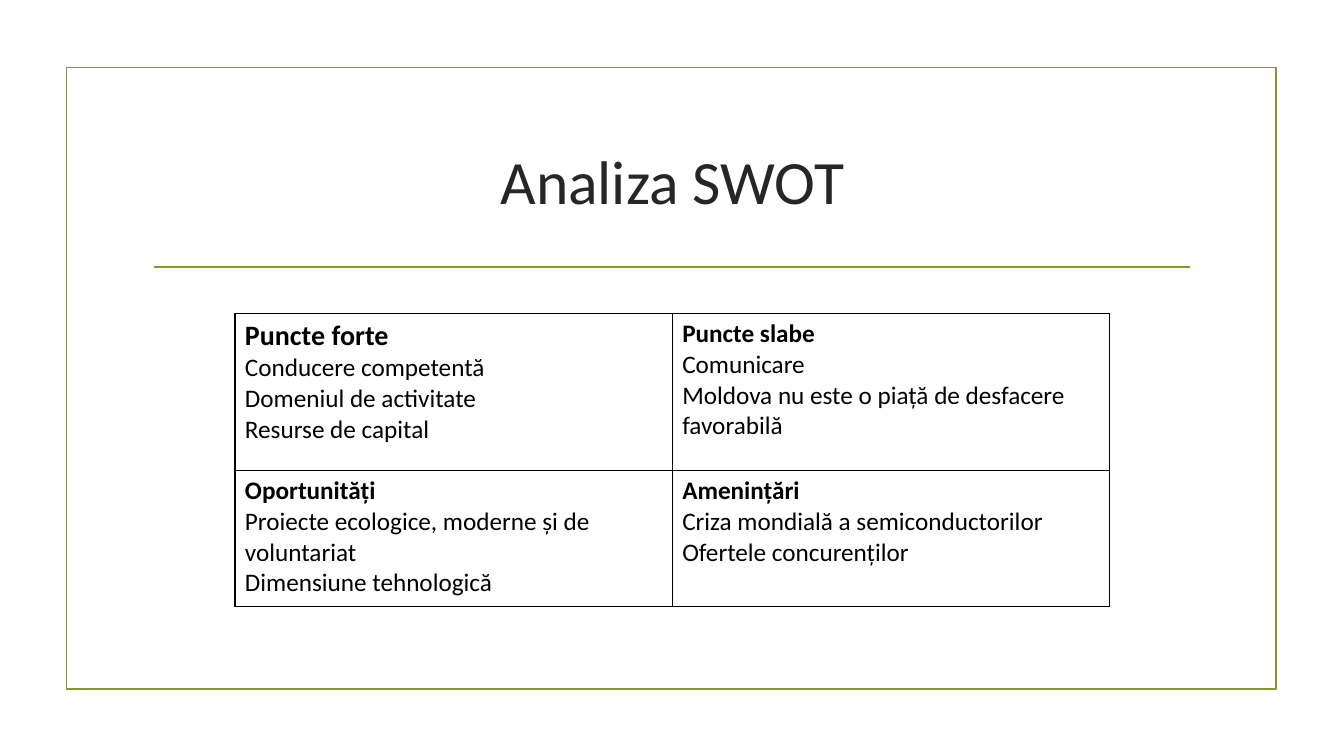
from dataclasses import dataclass

from lxml import etree
from pptx import Presentation
from pptx.dml.color import RGBColor
from pptx.enum.shapes import MSO_CONNECTOR, MSO_SHAPE
from pptx.enum.text import MSO_ANCHOR, PP_ALIGN
from pptx.oxml import parse_xml
from pptx.oxml.ns import qn
from pptx.util import Cm, Pt

RECTANGLE = MSO_SHAPE.RECTANGLE
STRAIGHT = MSO_CONNECTOR.STRAIGHT
MIDDLE = MSO_ANCHOR.MIDDLE
CENTER = PP_ALIGN.CENTER

FONT = "Calibri"
GREEN = "83992A"
DARK = "262626"
BLACK = "000000"
TITLE_ONLY = 5
DRAWING_NS = "http://schemas.openxmlformats.org/drawingml/2006/main"


@dataclass
class Quadrant:
    row: int
    column: int
    heading: str
    points: list[str]
    heading_size: int = 18


QUADRANTS = [
    Quadrant(0, 0, "Puncte forte",
             ["Conducere competentă", "Domeniul de activitate", "Resurse de capital"], 20),
    Quadrant(0, 1, "Puncte slabe",
             ["Comunicare", "Moldova nu este o piață de desfacere favorabilă"]),
    Quadrant(1, 0, "Oportunități",
             ["Proiecte ecologice, moderne și de voluntariat", "Dimensiune tehnologică"]),
    Quadrant(1, 1, "Amenințări",
             ["Criza mondială a semiconductorilor", "Ofertele concurenților"]),
]


def colour(code: str) -> RGBColor:
    return RGBColor.from_string(code)


def format_runs(para, size: float, code: str, bold: bool = False) -> None:
    for span in para.runs:
        span.font.name = FONT
        span.font.size = Pt(size)
        span.font.bold = bold
        span.font.color.rgb = colour(code)


def style_line(line) -> None:
    line.color.rgb = colour(GREEN)
    line.width = Pt(1.25)


def add_frame(page) -> None:
    frame = page.shapes.add_shape(RECTANGLE, Cm(1.68), Cm(1.7), Cm(30.48), Cm(15.67))
    frame.shadow.inherit = False
    frame.fill.background()
    style_line(frame.line)


def add_title_rule(page) -> None:
    rule = page.shapes.add_connector(STRAIGHT, Cm(3.89), Cm(6.73), Cm(30), Cm(6.73))
    style_line(rule.line)
    etree.SubElement(rule._element.spPr, qn("a:effectLst"))


def set_title(page) -> None:
    title = page.shapes.title
    title.left, title.top, title.width, title.height = Cm(3.61), Cm(2.72), Cm(26.67), Cm(3.63)
    title.text_frame.text = "Analiza SWOT"
    title.text_frame.vertical_anchor = MIDDLE
    para = title.text_frame.paragraphs[0]
    para.alignment = CENTER
    format_runs(para, 44, DARK)


def add_borders(cell) -> None:
    properties = cell._tc.get_or_add_tcPr()
    for side in ("lnL", "lnR", "lnT", "lnB"):
        properties.append(parse_xml(
            f'<a:{side} xmlns:a="{DRAWING_NS}" w="{Pt(1)}"><a:solidFill>'
            f'<a:srgbClr val="{BLACK}"/></a:solidFill></a:{side}>'))


def fill_quadrant(cell, quadrant: Quadrant) -> None:
    add_borders(cell)
    cell.fill.background()
    cell.text_frame.text = "\n".join([quadrant.heading, *quadrant.points])
    heading, *points = cell.text_frame.paragraphs
    format_runs(heading, quadrant.heading_size, BLACK, bold=True)
    for para in points:
        format_runs(para, 18, BLACK)


def add_swot_table(page) -> None:
    table = page.shapes.add_table(2, 2, Cm(5.92), Cm(7.9), Cm(22.04), Cm(7.39)).table
    table.first_row = False
    table.horz_banding = False
    for row, height in zip(table.rows, (3.96, 3.43)):
        row.height = Cm(height)
    for quadrant in QUADRANTS:
        fill_quadrant(table.cell(quadrant.row, quadrant.column), quadrant)


def main() -> None:
    deck = Presentation()
    deck.slide_width, deck.slide_height = Cm(33.87), Cm(19.05)
    page = deck.slides.add_slide(deck.slide_layouts[TITLE_ONLY])
    add_frame(page)
    add_title_rule(page)
    set_title(page)
    add_swot_table(page)
    deck.save("out.pptx")


if __name__ == "__main__":
    main()
